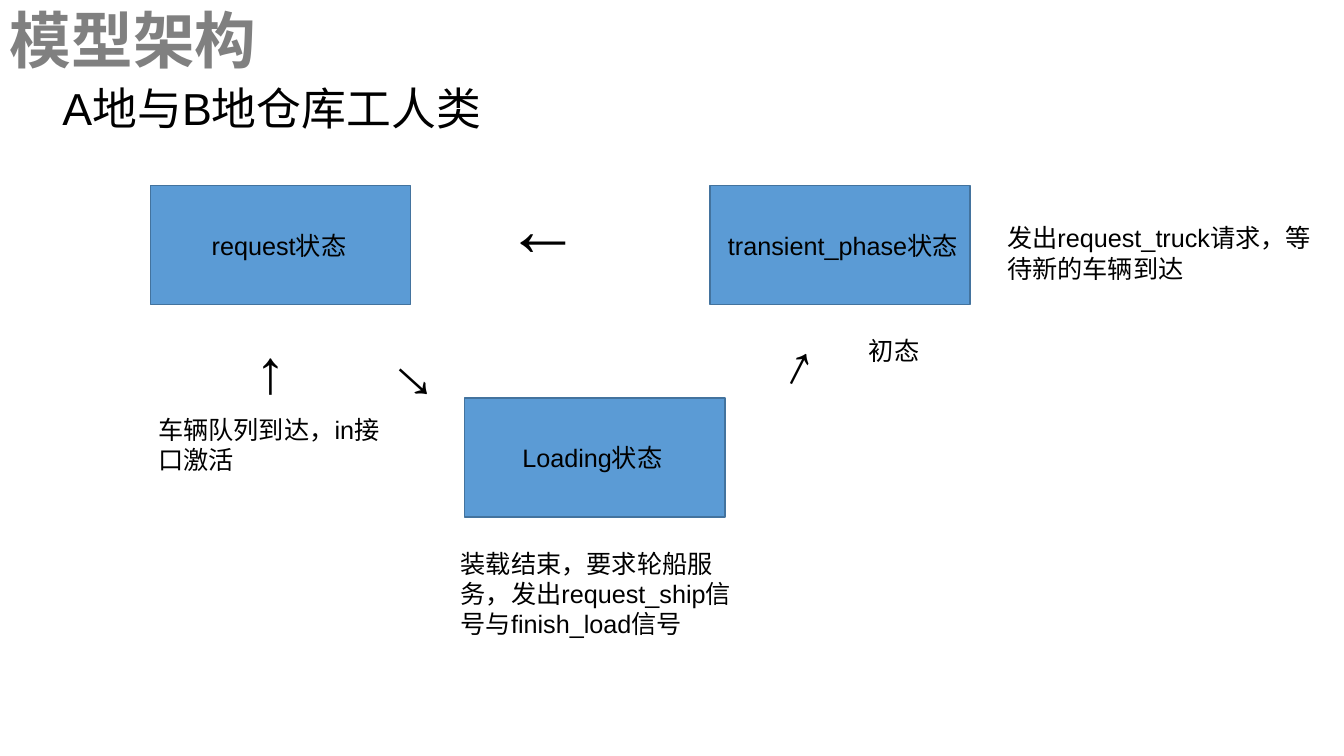
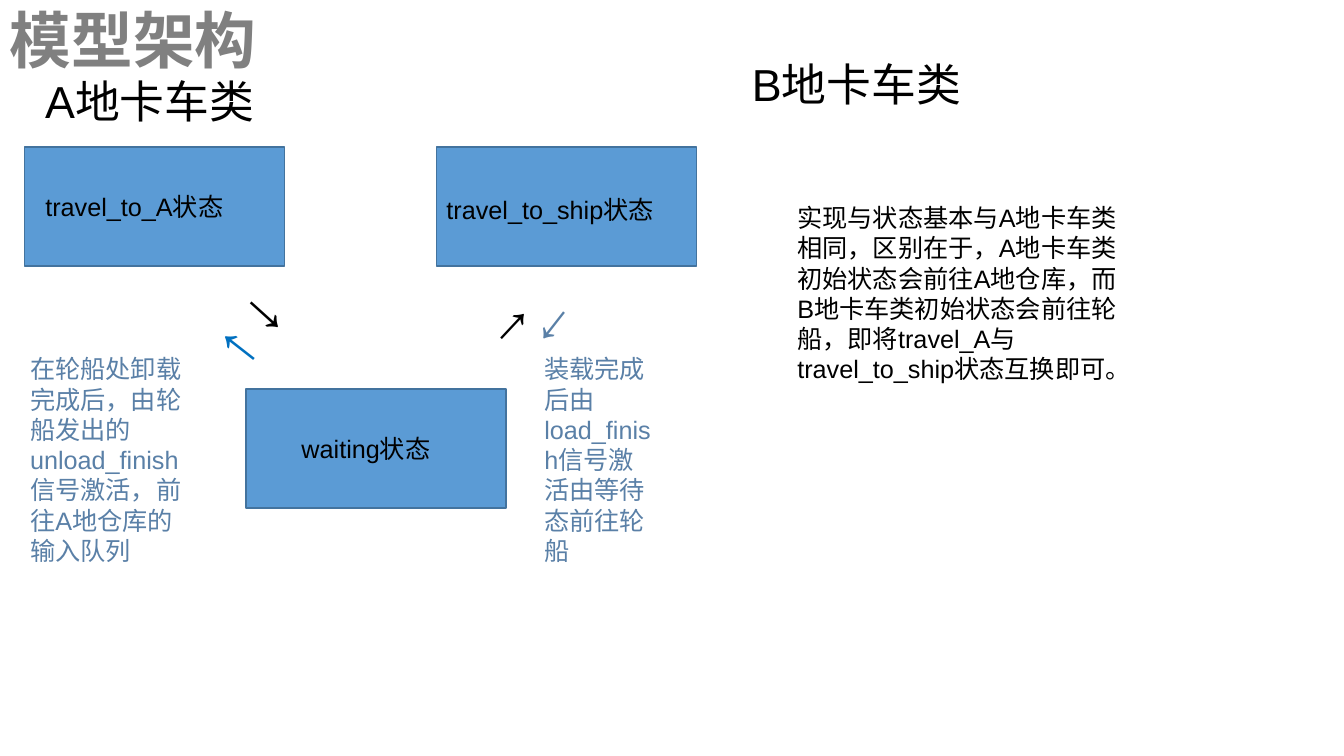
from pptx import Presentation
from pptx.dml.color import RGBColor
from pptx.enum.shapes import MSO_SHAPE
from pptx.enum.text import MSO_ANCHOR, PP_ALIGN
from pptx.oxml.ns import qn
from pptx.util import Inches, Pt
from lxml.etree import SubElement

BLACK = RGBColor(0x00, 0x00, 0x00)
TITLE_GRAY = RGBColor(0x80, 0x80, 0x80)
STATE_FILL = RGBColor(0x5B, 0x9B, 0xD5)
STATE_LINE = RGBColor(0x43, 0x73, 0x9E)
BRIGHT_BLUE = RGBColor(0x00, 0x70, 0xC0)
STEEL_BLUE = RGBColor(0x5A, 0x80, 0xA7)

BODY_FONT = "Arial"
TITLE_FONT = "Noto Sans CJK SC"
STATE_WIDTH, STATE_HEIGHT = 2.58, 1.18
LINE_PITCH = 1.2


def write(frame, text, size, color=BLACK, font_name=BODY_FONT, bold=False):
    """Fill a frame with one paragraph, in one font for Latin and Chinese."""
    frame.word_wrap = True
    frame.vertical_anchor = MSO_ANCHOR.TOP
    paragraph = frame.paragraphs[0]
    paragraph.text = text
    paragraph.alignment = PP_ALIGN.LEFT
    paragraph.line_spacing = Pt(size * LINE_PITCH)
    font = paragraph.font
    font.size, font.bold, font.name = Pt(size), bold, font_name
    font.color.rgb = color
    properties = paragraph.runs[0].font
    properties.name = font_name
    run_properties = paragraph.runs[0]._r.get_or_add_rPr()
    SubElement(run_properties, qn("a:ea")).set("typeface", font_name)


def add_text(slide, box, text, size=18, color=BLACK, rotation=0, **style):
    label = slide.shapes.add_textbox(*map(Inches, box))
    label.rotation = rotation
    write(label.text_frame, text, size, color, **style)


def add_state(slide, left, top, name, inset, right_inset=None, text_top=0.44):
    """Draw a state box; the insets place its name inside it."""
    state = slide.shapes.add_shape(
        MSO_SHAPE.RECTANGLE, *map(Inches, (left, top, STATE_WIDTH, STATE_HEIGHT)))
    state.shadow.inherit = False
    state.fill.solid()
    state.fill.fore_color.rgb = STATE_FILL
    state.line.color.rgb = STATE_LINE
    state.line.width = Pt(1)
    frame = state.text_frame
    frame.margin_left = Inches(inset)
    frame.margin_right = Inches(inset if right_inset is None else right_inset)
    frame.margin_top = Inches(text_top)
    frame.margin_bottom = 0
    write(frame, name + "状态", 18)


def add_slide(deck):
    slide = deck.slides.add_slide(deck.slide_layouts[6])
    add_text(slide, (0, -0.03, 4.44, 0.84), "模型架构", 44, TITLE_GRAY,
             font_name=TITLE_FONT, bold=True)
    return slide


def add_heading(slide, left, top, width, text):
    add_text(slide, (left, top, width, 0.94), text, 32)


def add_arrows(slide, arrows):
    for box, glyph, size, rotation, color in arrows:
        add_text(slide, box, glyph, size, color, rotation)


def add_notes_text(slide, notes):
    for box, text, color in notes:
        add_text(slide, box, text, color=color)


def build_warehouse_slide(deck):
    slide = add_slide(deck)
    add_heading(slide, 0.52, 0.75, 11.21, "A地与B地仓库工人类")
    add_state(slide, 1.49, 1.84, "request", 0.61)
    add_state(slide, 4.61, 3.95, "Loading", 0.57)
    add_state(slide, 7.04, 1.84, "transient_phase", 0.18, right_inset=0)
    add_arrows(slide, [
        ((3.76, 3.13, 0.95, 0.96), "↓", 44, 312, BLACK),
        ((2.44, 3.24, 0.64, 0.84), "↑", 44, 0, BLACK),
        ((7.43, 3.22, 0.76, 0.77), "→", 40, 297, BLACK),
        ((4.61, 1.51, 1.37, 1.01), "↑", 54, 270, BLACK),
    ])
    add_notes_text(slide, [
        ((1.47, 4.06, 2.5, 0.71), "车辆队列到达，in接口激活", BLACK),
        ((4.47, 5.39, 2.91, 1.01),
         "装载结束，要求轮船服务，发出request_ship信号与finish_load信号", BLACK),
        ((9.89, 2.16, 3.27, 0.93),
         "发出request_truck请求，等待新的车辆到达", BLACK),
        ((8.52, 3.28, 2.09, 0.4), "初态", BLACK),
    ])


def build_truck_slide(deck):
    slide = add_slide(deck)
    add_heading(slide, 0.35, 0.68, 6.5, "A地卡车类")
    add_heading(slide, 7.36, 0.51, 4.89, "B地卡车类")
    add_state(slide, 0.24, 1.46, "travel_to_A", 0.21)
    add_state(slide, 2.44, 3.86, "waiting", 0.55)
    add_state(slide, 4.33, 1.46, "travel_to_ship", 0.1, text_top=0.47)
    add_arrows(slide, [
        ((2.29, 2.47, 0.95, 0.96), "↓", 44, 312, BLACK),
        ((2.04, 2.93, 0.64, 0.84), "↑", 44, 308, BRIGHT_BLUE),
        ((4.62, 2.77, 0.76, 0.77), "→", 40, 313, BLACK),
        ((4.42, 2.63, 1.37, 0.77), "↑", 40, 218, STEEL_BLUE),
    ])
    add_notes_text(slide, [
        ((5.3, 3.46, 1.3, 2.22),
         "装载完成后由load_finish信号激活由等待态前往轮船", STEEL_BLUE),
        ((0.2, 3.46, 1.77, 2.22),
         "在轮船处卸载完成后，由轮船发出的unload_finish信号激活，"
         "前往A地仓库的输入队列", STEEL_BLUE),
        ((7.81, 1.96, 3.44, 1.92),
         "实现与状态基本与A地卡车类相同，区别在于，A地卡车类初始状态会前往A地仓库，"
         "而B地卡车类初始状态会前往轮船，即将travel_A与travel_to_ship状态互换即可。",
         BLACK),
    ])


def main():
    deck = Presentation()
    deck.slide_width, deck.slide_height = Inches(13.33), Inches(7.5)
    build_warehouse_slide(deck)
    build_truck_slide(deck)
    deck.save("out.pptx")


if __name__ == "__main__":
    main()
